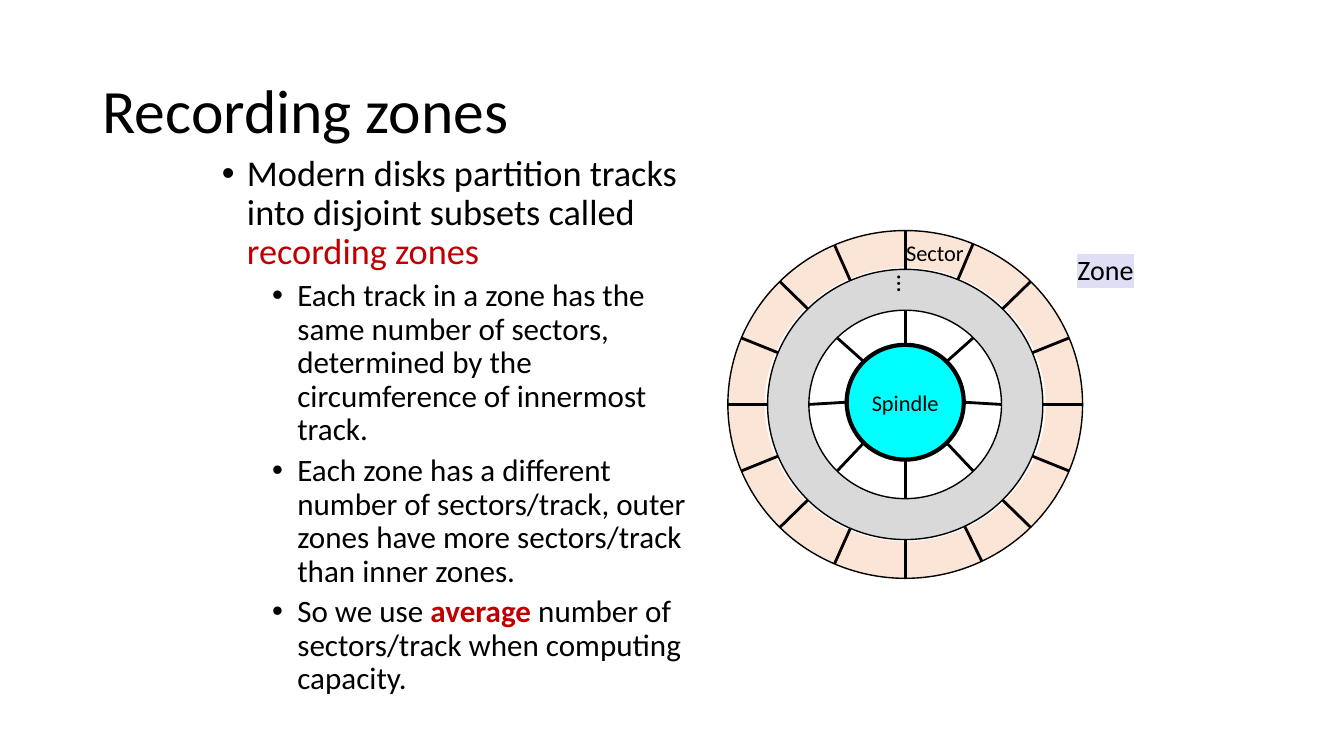
from math import cos, radians, sin

from pptx import Presentation
from pptx.dml.color import RGBColor
from pptx.enum import shapes, text
from pptx.oxml import xmlchemy
from pptx.util import Pt

BLACK, RED = "000000", "C00000"
CENTER = (646.6, 288.9)
HUB_CENTER = (646.6, 287.3)
OUTER, MIDDLE, INNER, HUB = (126.7, 124.2), (98.3, 96.5), (68.8, 67.3), (41.8, 41)


def rgb(code):
    return RGBColor.from_string(code)


def write(paragraph, words, size, color=BLACK, bold=False, highlight=None):
    run = paragraph.add_run()
    run.text = words
    run.font.name, run.font.size, run.font.bold = "Calibri", Pt(size), bold
    run.font.color.rgb = rgb(color)
    if highlight:
        mark = xmlchemy.OxmlElement("a:highlight")
        swatch = xmlchemy.OxmlElement("a:srgbClr")
        swatch.set("val", highlight)
        mark.append(swatch)
        run.font.fill._xPr.find(".//{*}latin").addprevious(mark)


def on_ellipse(center, radii, degrees):
    angle = radians(degrees)
    return center[0] + radii[0] * cos(angle), center[1] - radii[1] * sin(angle)


class DiskSlide:
    line_color = BLACK
    line_spacing = 0.9

    def __init__(self, deck):
        self.slide = deck.slides.add_slide(deck.slide_layouts[1])

    def place(self, holder, left, top, width, height):
        holder.left, holder.top = Pt(left), Pt(top)
        holder.width, holder.height = Pt(width), Pt(height)
        frame = holder.text_frame
        frame.word_wrap, frame.auto_size = True, text.MSO_AUTO_SIZE.NONE
        return frame

    def title(self, words, *box):
        frame = self.place(self.slide.shapes.title, *box)
        frame.vertical_anchor = text.MSO_ANCHOR.MIDDLE
        heading = frame.paragraphs[0]
        heading.alignment = text.PP_ALIGN.LEFT
        heading.line_spacing = self.line_spacing
        write(heading, words, 44)

    def bullets(self, items, *box):
        """Each item is a level and a list of (words, format) pieces."""
        frame = self.place(self.slide.placeholders[1], *box)
        for number, (level, pieces) in enumerate(items):
            item = frame.add_paragraph() if number else frame.paragraphs[0]
            item.level = level
            props = item._p.get_or_add_pPr()
            props.set("marL", str(Pt(54 if level else 18)))
            props.set("indent", str(Pt(-18)))
            bullet = xmlchemy.OxmlElement("a:buChar")
            bullet.set("char", "•")
            props.append(bullet)
            item.line_spacing = self.line_spacing
            item.space_before = Pt(5 if number else 0)
            for words, style in pieces:
                write(item, words, 22.2 if level else 25.9, **style)

    def ring(self, center, radii, fill=None, weight=1, kind=shapes.MSO_SHAPE.OVAL):
        (x, y), (rx, ry) = center, radii
        disk = self.slide.shapes.add_shape(
            kind, Pt(x - rx), Pt(y - ry), Pt(2 * rx), Pt(2 * ry))
        disk.shadow.inherit = False
        if fill:
            disk.fill.solid()
            disk.fill.fore_color.rgb = rgb(fill)
        else:
            disk.fill.background()
        if weight:
            disk.line.color.rgb = rgb(self.line_color)
            disk.line.width = Pt(weight)
        else:
            disk.line.fill.background()
        return disk

    def divider(self, start, end):
        spoke = self.slide.shapes.add_connector(
            shapes.MSO_CONNECTOR.STRAIGHT, *(Pt(v) for v in (*start, *end)))
        spoke.line.color.rgb = rgb(self.line_color)
        spoke.line.width = Pt(2)
        spoke._element.spPr.append(xmlchemy.OxmlElement("a:effectLst"))

    def label(self, words, size, left, top, width, height, wrap=False,
              anchor=text.MSO_ANCHOR.MIDDLE, turn=None, **style):
        box = self.slide.shapes.add_textbox(Pt(left), Pt(top), Pt(width), Pt(height))
        frame = box.text_frame
        frame.word_wrap, frame.vertical_anchor = wrap, anchor
        if turn:
            frame._txBody.bodyPr.set("vert", turn)
        write(frame.paragraphs[0], words, size, **style)


def main():
    deck = Presentation()
    deck.slide_width, deck.slide_height = Pt(960), Pt(540)
    disk = DiskSlide(deck)

    zone = disk.ring(CENTER, OUTER, "FBE5D6", weight=0, kind=shapes.MSO_SHAPE.DONUT)
    zone.adjustments[0] = 0.106
    disk.title("Recording zones", 66, 28.75, 828, 104.4)
    disk.bullets([
        (0, [("Modern disks partition tracks into disjoint subsets called ", {}),
             ("recording zones", {"color": RED})]),
        (1, [("Each track in a zone has the same number of sectors, determined by "
              "the circumference of innermost track.", {})]),
        (1, [("Each zone has a different number of sectors/track, outer zones have "
              "more sectors/track than inner zones.", {})]),
        (1, [("So we use ", {}), ("average ", {"color": RED, "bold": True}),
             ("number of sectors/track when computing capacity.", {})]),
    ], 151.2, 107.3, 347.8, 398.9)

    disk.ring(CENTER, MIDDLE, "D9D9D9")
    disk.ring(CENTER, INNER, "FFFFFF")
    disk.ring(CENTER, OUTER)
    spindle = disk.ring(HUB_CENTER, HUB, "00FFFF", weight=3).text_frame
    spindle.word_wrap, spindle.vertical_anchor = False, text.MSO_ANCHOR.MIDDLE
    spindle.paragraphs[0].alignment = text.PP_ALIGN.CENTER
    write(spindle.paragraphs[0], "Spindle", 16)

    for degrees in range(0, 360, 45):
        disk.divider(on_ellipse(CENTER, INNER, degrees),
                     on_ellipse(HUB_CENTER, HUB, degrees))
    uneven = {5: 113.5, 11: 246.5, 13: 295.6}
    for step in range(16):
        degrees = uneven.get(step, step * 22.5)
        disk.divider(on_ellipse(CENTER, OUTER, degrees),
                     on_ellipse(CENTER, MIDDLE, degrees))

    disk.label("…", 18, 621.4, 196.6, 36, 19.4, anchor=text.MSO_ANCHOR.TOP,
               turn="vert270")
    disk.label("Zone", 20, 762.5, 176.4, 55.4, 31.7, wrap=True, highlight="DEDFF5")
    disk.label("Sector", 16, 640.1, 167, 56.9, 26.6)
    deck.save("out.pptx")


if __name__ == "__main__":
    main()
